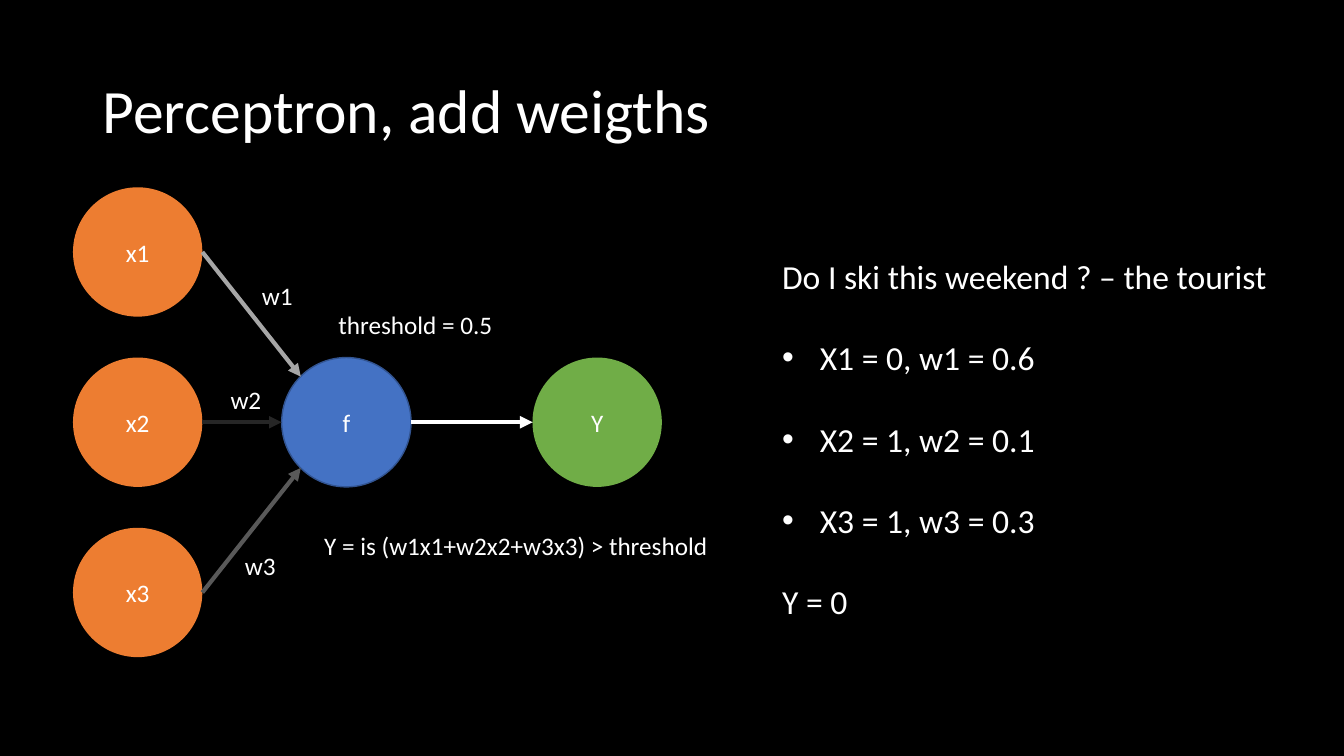
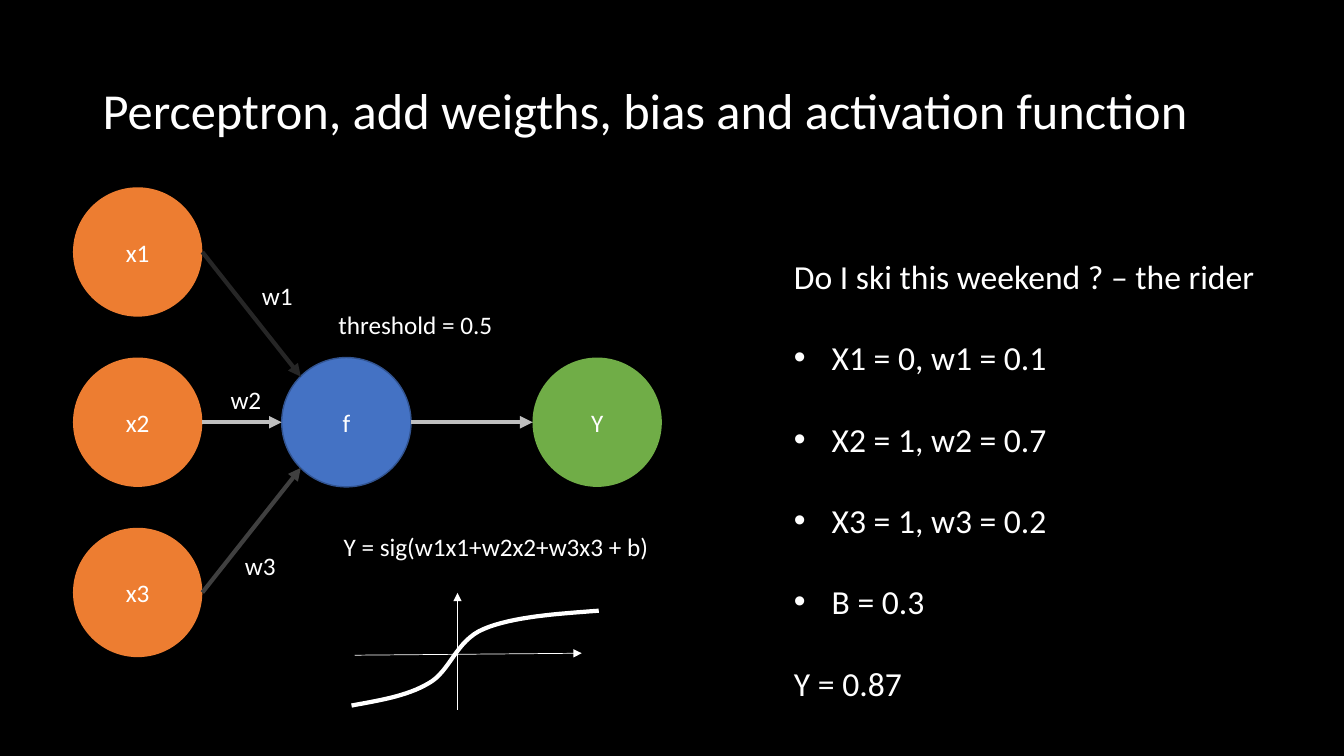
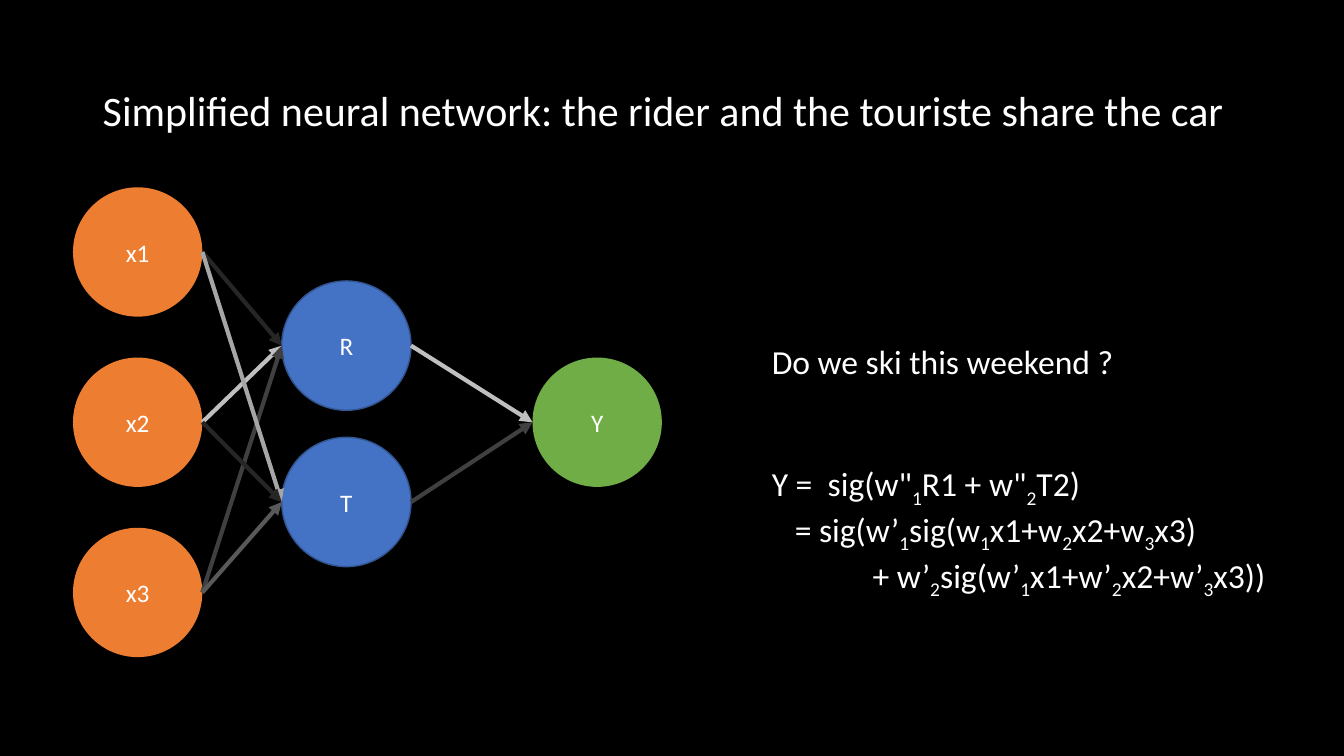
from lxml import etree
from pptx import Presentation
from pptx.dml.color import RGBColor
from pptx.enum.shapes import MSO_CONNECTOR, MSO_SHAPE
from pptx.enum.text import MSO_ANCHOR, PP_ALIGN
from pptx.oxml.ns import qn
from pptx.util import Cm, Pt

LINE = MSO_CONNECTOR.STRAIGHT
OVAL = MSO_SHAPE.OVAL
MIDDLE, TOP = MSO_ANCHOR.MIDDLE, MSO_ANCHOR.TOP
CENTER = PP_ALIGN.CENTER

FONT = "Calibri"
COLOR = {
    "back": "000000", "white": "FFFFFF",
    "input": "ED7D31", "cell": "4472C4", "edge": "325491", "output": "70AD47",
    "faint": "262626", "dark": "404040", "mid": "595959",
    "pale": "A6A6A6", "light": "BFBFBF",
}

# Network grid, in centimetres
RAD = 1.63
DIAG = 1.15                       # RAD at 45 degrees
IN_X, CELL_X, OUT_X = 3.47, 8.73, 15.05
MID_Y, STEP = 10.64, 4.29
ROWS = [MID_Y + STEP * i for i in (-1, 0, 1)]
GAP = 29.3                        # one line of body text, in points


def rgb(name):
    return RGBColor.from_string(COLOR[name])


class Deck:
    """Holds the style and the current slide."""

    def __init__(self):
        self.prs = Presentation()
        self.prs.slide_width, self.prs.slide_height = Cm(33.87), Cm(19.05)

    def start(self, title, size):
        self.slide = self.prs.slides.add_slide(self.prs.slide_layouts[6])
        fill = self.slide.background.fill
        fill.solid()
        fill.fore_color.rgb = rgb("back")
        frame = self.box(2.34, 1.01, 29.21, 3.68, anchor=MIDDLE)
        para = frame.paragraphs[0]
        para.text = title
        para.line_spacing = 0.9
        self.style(para, size)

    def style(self, para, size):
        para.font.name = FONT
        para.font.size = Pt(size)
        para.font.color.rgb = rgb("white")

    def box(self, x, y, wide, high, wrap=True, anchor=TOP):
        shape = self.slide.shapes.add_textbox(Cm(x), Cm(y), Cm(wide), Cm(high))
        frame = shape.text_frame
        frame.word_wrap = wrap
        frame.vertical_anchor = anchor
        return frame

    def label(self, text, x, y, wide):
        para = self.box(x, y, wide, 1.02, wrap=False).paragraphs[0]
        para.text = text
        self.style(para, 18)

    def body(self, x, y, wide, high, items):
        """Each item: text, space before, left indent, bullet, tab stop.
        An underscore lowers the character after it."""
        frame = self.box(x, y, wide, high)
        for i, (text, space, left, dot, stop) in enumerate(items):
            para = frame.add_paragraph() if i else frame.paragraphs[0]
            para.space_before = Pt(space)
            props = para._p.get_or_add_pPr()
            props.set("marL", str(Cm(left)))
            if dot:
                props.set("indent", str(-Cm(left)))
                etree.SubElement(props, qn("a:buFont"), typeface="Arial")
                etree.SubElement(props, qn("a:buChar"), char="•")
            if stop:
                tabs = etree.SubElement(props, qn("a:tabLst"))
                etree.SubElement(tabs, qn("a:tab"), pos=str(Cm(stop)), algn="l")
            first, *rest = text.split("_")
            para.add_run().text = first
            for part in rest:
                low = para.add_run()
                low.text = part[0]
                low._r.get_or_add_rPr().set("baseline", "-25000")
                para.add_run().text = part[1:]
            self.style(para, 24)

    def node(self, text, x, y, fill, edge=None):
        shape = self.slide.shapes.add_shape(
            OVAL, Cm(x - RAD), Cm(y - RAD), Cm(2 * RAD), Cm(2 * RAD))
        shape.shadow.inherit = False
        shape.fill.solid()
        shape.fill.fore_color.rgb = rgb(fill)
        if edge:
            shape.line.color.rgb = rgb(edge)
            shape.line.width = Pt(1)
        else:
            shape.line.fill.background()
        shape.text_frame.vertical_anchor = MIDDLE
        para = shape.text_frame.paragraphs[0]
        para.text = text
        para.alignment = CENTER
        self.style(para, 18)

    def arrow(self, x1, y1, x2, y2, color, width=3):
        link = self.slide.shapes.add_connector(
            LINE, Cm(x1), Cm(y1), Cm(x2), Cm(y2))
        link.line.color.rgb = rgb(color)
        link.line.width = Pt(width)
        etree.SubElement(link.line._get_or_add_ln(), qn("a:tailEnd"),
                         type="triangle")
        etree.SubElement(link._element.spPr, qn("a:effectLst"))

    def curve(self, start, bends, color, steps=16):
        """Draws joined cubic curves as a fine open outline."""
        dots, last = [], start
        for bend in bends:
            pts = (last, *bend)
            for i in range(1, steps + 1):
                t = i / steps
                mix = ((1 - t) ** 3, 3 * t * (1 - t) ** 2,
                       3 * t * t * (1 - t), t ** 3)
                dots.append(tuple(
                    Cm(sum(m * p[k] for m, p in zip(mix, pts)))
                    for k in (0, 1)))
            last = bend[-1]
        form = self.slide.shapes.build_freeform(Cm(start[0]), Cm(start[1]))
        form.add_line_segments(dots, close=False)
        shape = form.convert_to_shape()
        shape.shadow.inherit = False
        shape.fill.background()
        shape.line.color.rgb = rgb(color)
        shape.line.width = Pt(3)

    def ends(self):
        """Input and output nodes."""
        for i, y in enumerate(ROWS, 1):
            self.node(f"x{i}", IN_X, y, "input")
        self.node("Y", OUT_X, MID_Y, "output")

    def neuron(self, colors, out):
        """One cell fed by three weighted inputs."""
        self.node("f", CELL_X, MID_Y, "cell", "edge")
        self.ends()
        self.arrow(CELL_X + RAD, MID_Y, OUT_X - RAD, MID_Y, out)
        tips = [(DIAG, -DIAG), (RAD, 0), (DIAG, DIAG)]
        for y, (dx, dy), color in zip(ROWS, tips, colors):
            self.arrow(IN_X + RAD, y, CELL_X - dx, MID_Y + dy, color)
        self.label("threshold = 0.5", 8.28, 7.67, 4.45)
        spots = [(6.35, 6.93), (5.56, 9.55), (5.92, 13.74)]
        for i, (x, y) in enumerate(spots, 1):
            self.label(f"w{i}", x, y, 1.3)

    def case(self, x, high, ask, facts, result):
        """Question, bulleted values and result."""
        items = [(ask, 0, 0, False, None)]
        items += [(fact, GAP, 0.95, True, None) for fact in facts]
        items.append((result, GAP, 0, False, None))
        self.body(x, 6.32, 13.75, high, items)


def main():
    deck = Deck()

    # Weights
    deck.start("Perceptron, add weigths", 44)
    deck.neuron(["pale", "faint", "mid"], "white")
    deck.label("Y = is (w1x1+w2x2+w3x3) > threshold", 7.92, 13.23, 10.29)
    deck.case(19.46, 9.5, "Do I ski this weekend ? – the tourist",
              ["X1 = 0, w1 = 0.6", "X2 = 1, w2 = 0.1", "X3 = 1, w3 = 0.3"],
              "Y = 0")

    # Bias and activation
    deck.start("Perceptron, add weigths, bias and activation function", 36)
    deck.neuron(["faint", "light", "dark"], "light")
    deck.label("Y = sig(w1x1+w2x2+w3x3 + b)", 8.41, 13.26, 8.28)
    deck.case(19.76, 11.53, "Do I ski this weekend ? – the rider",
              ["X1 = 0, w1 = 0.1", "X2 = 1, w2 = 0.7", "X3 = 1, w3 = 0.2",
               "B = 0.3"], "Y = 0.87")
    deck.arrow(11.53, 17.88, 11.53, 14.94, "white", 0.5)
    deck.arrow(8.94, 16.51, 14.66, 16.46, "white", 0.5)
    deck.curve((8.86, 17.78), [
        ((9.55, 17.65), (10.24, 17.55), (10.8, 17.22)),
        ((11.35, 16.92), (11.48, 16.15), (12.19, 15.85)),
        ((12.93, 15.54), (14.02, 15.47), (15.09, 15.39)),
    ], "white")

    # Network of two cells
    deck.start("Simplified neural network: the rider and the touriste "
               "share the car", 30)
    deck.ends()
    cells = [("R", 8.71, ["faint", "light", "dark"], "light"),
             ("T", 12.65, ["pale", "faint", "mid"], "dark")]
    for name, y, colors, out in cells:
        deck.node(name, CELL_X, y, "cell", "edge")
        for row, color in zip(ROWS, colors):
            deck.arrow(IN_X + RAD, row, CELL_X - RAD, y, color)
        deck.arrow(CELL_X + RAD, y, OUT_X - RAD, MID_Y, out)
    deck.body(19.2, 8.46, 13.61, 6.4, [
        ("Do we ski this weekend ?", 0, 0, False, None),
        ("Y =\tsig(w\"_1R1 + w\"_2T2)", 2 * GAP, 0, False, 1.41),
        ("= sig(w’_1sig(w_1x1+w_2x2+w_3x3)", 0, 0.58, False, None),
        ("+ w’_2sig(w’_1x1+w’_2x2+w’_3x3))", 0, 2.54, False, None),
    ])

    deck.prs.save("out.pptx")


if __name__ == "__main__":
    main()
